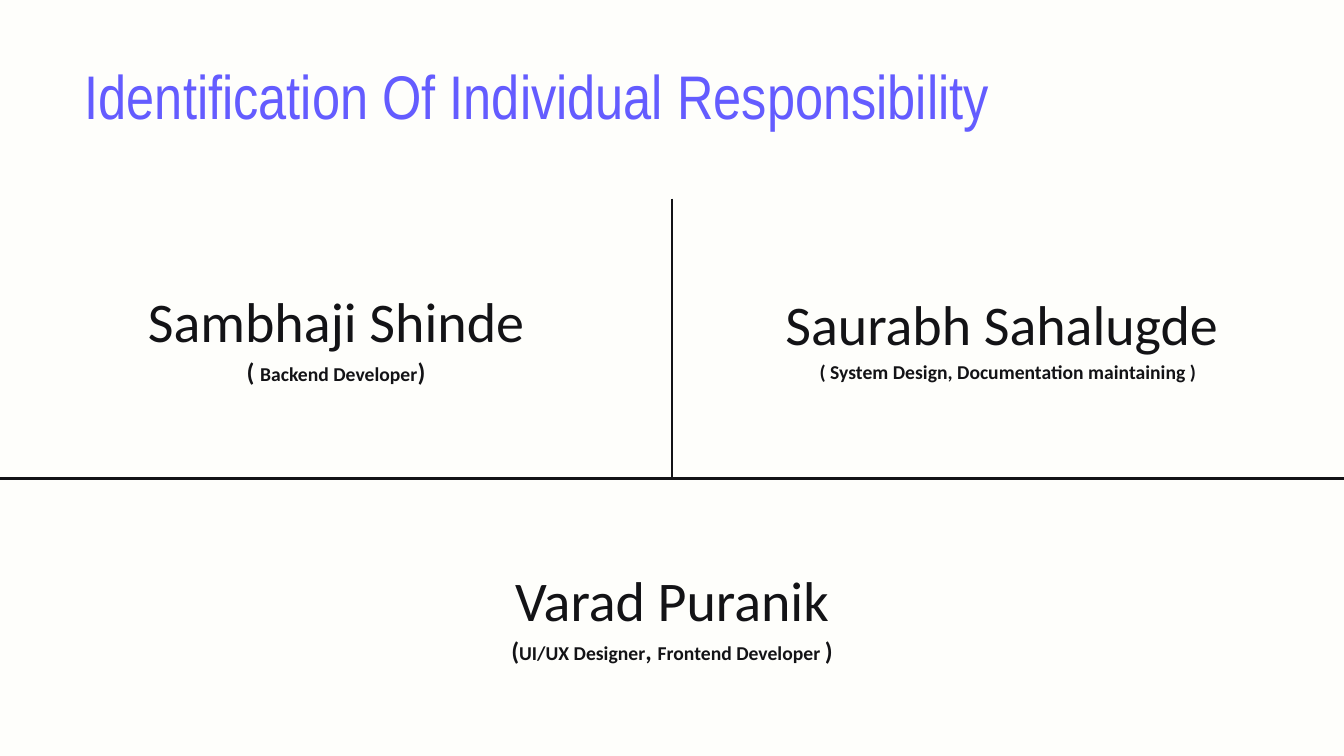
from dataclasses import dataclass

from lxml.etree import SubElement
from pptx import Presentation
from pptx.dml.color import RGBColor
from pptx.enum.text import MSO_ANCHOR, PP_ALIGN
from pptx.oxml.ns import qn
from pptx.util import Inches, Pt


@dataclass(frozen=True)
class Theme:
    background: str = "FEFEFB"
    accent: str = "645CFF"
    ink: str = "131316"
    title_font: str = "Arial Narrow"
    body_font: str = "Calibri"
    title_size: int = 44
    name_size: int = 40
    bracket_size: int = 18
    role_size: int = 14
    rule_width: float = 2.25


THEME = Theme()
PLAIN_TABLE_STYLE = "{2D5ABB26-0587-4C30-8999-92F81FD0307C}"

BRACKET, ROLE = THEME.bracket_size, THEME.role_size
BACKEND = ("Sambhaji Shinde",
           [("( ", BRACKET), ("Backend Developer", ROLE), (")", BRACKET)])
SYSTEM = ("Saurabh Sahalugde ",
          [("( System Design, Documentation maintaining )", ROLE)])
FRONTEND = ("Varad Puranik",
            [("(", BRACKET), ("UI/UX Designer", ROLE), (", ", BRACKET),
             ("Frontend Developer ", ROLE), (")", BRACKET)])


class SlideBuilder:
    def __init__(self, slide, theme):
        self.slide = slide
        self.theme = theme
        fill = slide.background.fill
        fill.solid()
        fill.fore_color.rgb = RGBColor.from_string(theme.background)

    def style(self, font, family, color):
        font.name = family
        font.color.rgb = RGBColor.from_string(color)

    def title(self, text, left, top, width, height):
        heading = self.slide.shapes.title
        heading.left, heading.top = Inches(left), Inches(top)
        heading.width, heading.height = Inches(width), Inches(height)
        frame = heading.text_frame
        frame.text = text
        frame.vertical_anchor = MSO_ANCHOR.MIDDLE
        line = frame.paragraphs[0]
        line.alignment = PP_ALIGN.LEFT
        line.line_spacing = 0.9
        line.font.size = Pt(self.theme.title_size)
        self.style(line.font, self.theme.title_font, self.theme.accent)

    def table(self, rows, columns, left, top, width, height):
        """Add an unstyled table with equal rows and columns."""
        frame = self.slide.shapes.add_table(
            rows, columns, Inches(left), Inches(top), Inches(width), Inches(height))
        grid = frame.table
        grid.first_row = grid.horz_banding = False
        grid._tbl.tblPr.find(qn("a:tableStyleId")).text = PLAIN_TABLE_STYLE
        return grid

    def borders(self, cell, sides):
        """Rule the given sides, listed in the order L, R, T, B."""
        properties = cell._tc.get_or_add_tcPr()
        for side in sides:
            rule = SubElement(properties, qn(f"a:ln{side}"),
                              w=str(Pt(self.theme.rule_width)))
            fill = SubElement(rule, qn("a:solidFill"))
            SubElement(fill, qn("a:srgbClr"), val=self.theme.ink)

    def member(self, cell, name, role_parts, sides):
        """Fill a cell with a name above a bold role in mixed sizes."""
        self.borders(cell, sides)
        cell.fill.background()
        cell.vertical_anchor = MSO_ANCHOR.MIDDLE
        name_line = cell.text_frame.paragraphs[0]
        name_line.text = name
        name_line.font.size = Pt(self.theme.name_size)
        role_line = cell.text_frame.add_paragraph()
        role_line.font.bold = True
        for text, size in role_parts:
            part = role_line.add_run()
            part.text = text
            part.font.size = Pt(size)
        for line in (name_line, role_line):
            line.alignment = PP_ALIGN.CENTER
            self.style(line.font, self.theme.body_font, self.theme.ink)


def main():
    deck = Presentation()
    deck.slide_width, deck.slide_height = Inches(13.33), Inches(7.5)
    builder = SlideBuilder(deck.slides.add_slide(deck.slide_layouts[5]), THEME)

    builder.title("Identification Of Individual Responsibility", 0.74, 0.44, 11.68, 1.1)

    team = builder.table(2, 2, 0, 1.97, 13.33, 5.55)
    team.cell(1, 0).merge(team.cell(1, 1))
    builder.member(team.cell(0, 0), *BACKEND, sides="RB")
    builder.member(team.cell(0, 1), *SYSTEM, sides="LB")
    builder.member(team.cell(1, 0), *FRONTEND, sides="T")

    deck.save("out.pptx")


if __name__ == "__main__":
    main()
